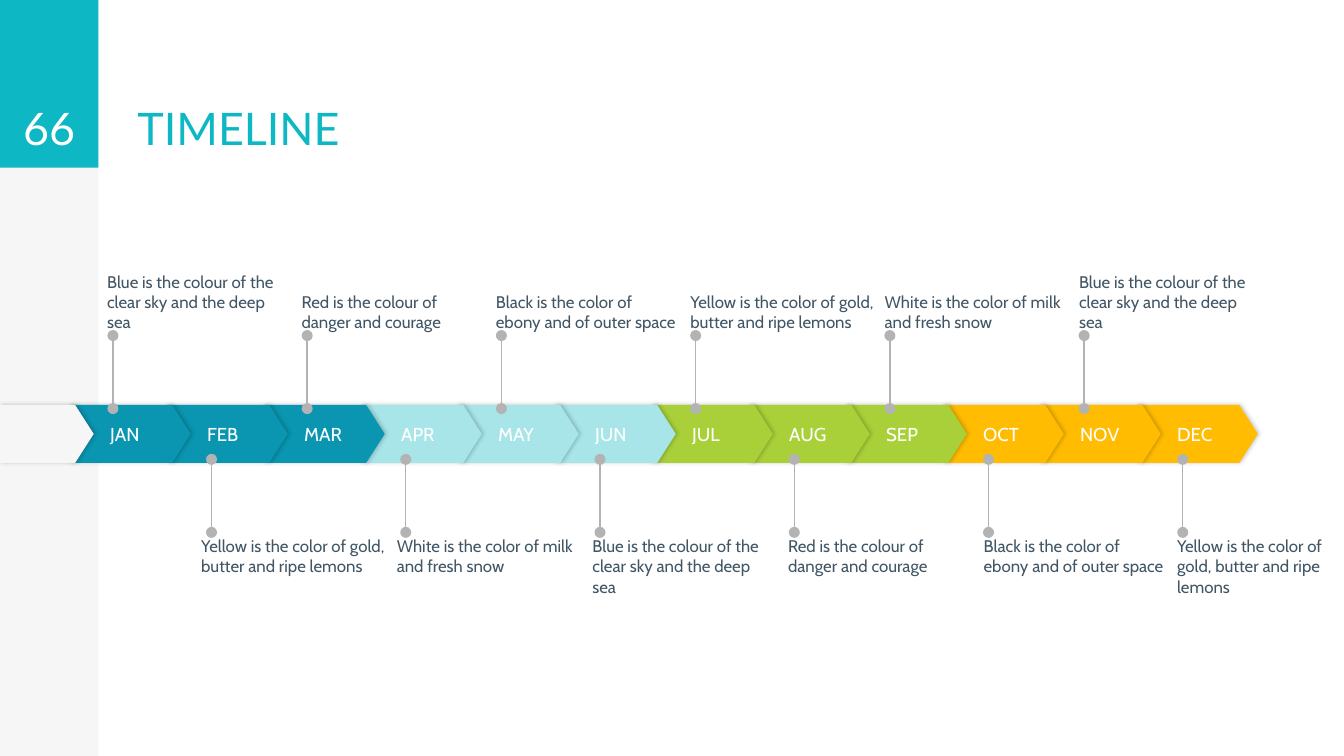
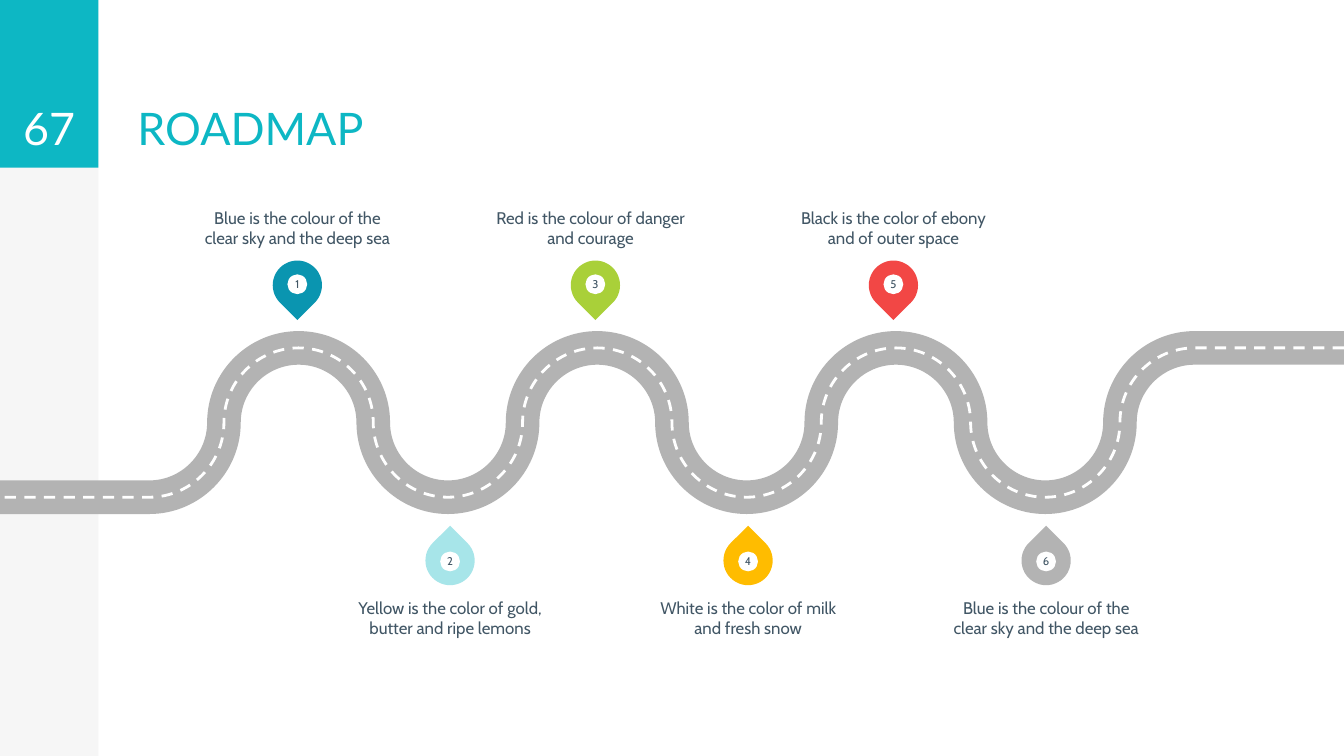
import pptx
import pptx.dml.color
import pptx.enum.dml
import pptx.enum.shapes
import pptx.enum.text
import pptx.oxml
import pptx.oxml.ns
import pptx.util
from dataclasses import dataclass

Pt = pptx.util.Pt
SHAPE = pptx.enum.shapes.MSO_SHAPE
ALIGN = pptx.enum.text.PP_ALIGN
ANCHOR = pptx.enum.text.MSO_ANCHOR
NS = pptx.oxml.ns.nsdecls("a")


@dataclass(frozen=True)
class Theme:
    accent: str = "0DB7C4"
    panel: str = "F6F6F6"
    white: str = "FFFFFF"
    text: str = "415665"
    gray: str = "B3B3B3"
    blue: str = "0A95B0"
    aqua: str = "A7E5E9"
    green: str = "A9D039"
    yellow: str = "FFBC00"
    red: str = "F24745"
    heading_font: str = "Lato"
    body_font: str = "Cabin"
    heading: float = 24
    label: float = 10
    body: float = 9
    tiny: float = 6


T = Theme()
W, H = 720, 405
SIDE_W, HEAD_H = 52.7, 89.8

BLUE = "Blue is the colour of the clear sky and the deep sea"
YELLOW = "Yellow is the color of gold, butter and ripe lemons"
RED = "Red is the colour of danger and courage"
WHITE = "White is the color of milk and fresh snow"
BLACK = "Black is the color of ebony and of outer space"

QUARTERS = [T.blue, T.aqua, T.green, T.yellow]
MONTHS = [
    ("JAN", BLUE), ("FEB", YELLOW), ("MAR", RED), ("APR", WHITE),
    ("MAY", BLACK), ("JUN", BLUE), ("JUL", YELLOW), ("AUG", RED),
    ("SEP", WHITE), ("OCT", BLACK), ("NOV", BLUE), ("DEC", YELLOW),
]
MILESTONES = [
    (T.blue, BLUE, 0), (T.aqua, YELLOW, 0), (T.green, RED, -2.6),
    (T.yellow, WHITE, 0), (T.red, BLACK, 0), (T.gray, BLUE, 0),
]


def rgb(color):
    return pptx.dml.color.RGBColor.from_string(color)


def write(sp, text, size, color, font=T.body_font, align=ALIGN.LEFT,
          anchor=ANCHOR.MIDDLE, margins=(0, 0, 0, 0)):
    tf = sp.text_frame
    tf.word_wrap = True
    tf.vertical_anchor = anchor
    tf.margin_left, tf.margin_top, tf.margin_right, tf.margin_bottom = map(Pt, margins)
    tf.text = text
    p = tf.paragraphs[0]
    p.alignment = align
    f = p.runs[0].font
    f.name, f.size = font, Pt(size)
    f.color.rgb = rgb(color)


def add_text(s, x, y, w, h, text, size, color, **style):
    write(s.shapes.add_textbox(Pt(x), Pt(y), Pt(w), Pt(h)), text, size, color, **style)


def add_box(parent, kind, x, y, w, h, color):
    sp = parent.shapes.add_shape(kind, Pt(x), Pt(y), Pt(w), Pt(h))
    sp.shadow.inherit = False
    sp.fill.solid()
    sp.fill.fore_color.rgb = rgb(color)
    sp.line.fill.background()
    return sp


def add_slide(prs, number, title):
    s = prs.slides.add_slide(prs.slide_layouts[6])
    add_box(s, SHAPE.RECTANGLE, 0, 0, SIDE_W, H, T.panel)
    add_box(s, SHAPE.RECTANGLE, 0, 0, SIDE_W, HEAD_H, T.accent)
    style = dict(font=T.heading_font, anchor=ANCHOR.BOTTOM, margins=(7.2,) * 4)
    add_text(s, 66.6, 0.2, 280, HEAD_H, title, T.heading, T.accent, **style)
    add_text(s, 0, 0.2, SIDE_W, HEAD_H, str(number), T.heading, T.white,
             align=ALIGN.CENTER, **style)
    return s


def add_arrow_band(s, x, w, color):
    sp = add_box(s, SHAPE.PENTAGON, x, 217, w, 31, color)
    sp.adjustments[0] = 0.32
    effects = sp._element.spPr.find(pptx.oxml.ns.qn("a:effectLst"))
    effects.append(pptx.oxml.parse_xml(
        f'<a:outerShdw {NS} blurRad="{Pt(2.2)}" dist="{Pt(0.8)}" '
        'dir="0" algn="ctr" rotWithShape="0"><a:srgbClr val="000000">'
        '<a:alpha val="20000"/></a:srgbClr></a:outerShdw>'))
    return sp


def add_pin_line(s, x, y1, y2):
    c = s.shapes.add_connector(pptx.enum.shapes.MSO_CONNECTOR.STRAIGHT,
                               Pt(x), Pt(y1), Pt(x), Pt(y2))
    c.line.color.rgb = rgb(T.gray)
    c.line.width = Pt(0.75)
    ln = c.line._get_or_add_ln()
    for end in ("headEnd", "tailEnd"):
        ln.append(pptx.oxml.parse_xml(f'<a:{end} {NS} type="oval"/>'))
    c._element.spPr.append(pptx.oxml.parse_xml(f'<a:effectLst {NS}/>'))


def timeline(prs):
    s = add_slide(prs, 66, "TIMELINE")
    step = 52.03
    for i, (month, _) in reversed(list(enumerate(MONTHS))):
        sp = add_arrow_band(s, 37.4 + 51.97 * i, 64.8, QUARTERS[i // 3])
        write(sp, month, T.label, T.white, margins=(21.6, 0, 0, 0))
    add_arrow_band(s, 0, 50.2, T.panel)

    for i, (_, caption) in enumerate(MONTHS):
        if i % 2 == 0:
            add_pin_line(s, 60.5 + step * i, 218.9, 179.8)
            x, y, anchor = 57.4 + 52.07 * i, 136.1, ANCHOR.BOTTOM
        else:
            add_pin_line(s, 61.3 + step * i, 285.2, 246.1)
            x, y, anchor = min(55.4 + 52.4 * i, 630.6), 287.1, ANCHOR.TOP
        add_text(s, x, y, min(98.7, 712 - x), 41.8, caption, T.body, T.text, anchor=anchor)


def road_points(mid=226.4, radius=40):
    heights = [mid - radius, mid, mid + radius, mid]
    bends = [(640 - radius * i, heights[i % 4]) for i in range(15)]
    return [(W, heights[0]), *bends, (0, heights[2])]


def round_bends(sp, pull=0.55):
    lines = list(sp._element.iter(pptx.oxml.ns.qn("a:lnTo")))
    ends = [(int(ln[0].get("x")), int(ln[0].get("y"))) for ln in lines]
    for i, ln in enumerate(lines[1:-1]):
        (x1, y1), (x2, y2) = ends[i], ends[i + 1]
        dx, dy = (x2 - x1) * pull, (y2 - y1) * pull
        if i % 2 == 0:
            curve = [(x1 + dx, y1), (x2, y2 - dy), (x2, y2)]
        else:
            curve = [(x1, y1 + dy), (x2 - dx, y2), (x2, y2)]
        pts = "".join(f'<a:pt x="{round(x)}" y="{round(y)}"/>' for x, y in curve)
        ln.getparent().replace(ln, pptx.oxml.parse_xml(
            f'<a:cubicBezTo {NS}>{pts}</a:cubicBezTo>'))


def add_road(s):
    start, *rest = [(Pt(x), Pt(y)) for x, y in road_points()]
    fb = s.shapes.build_freeform(*start, scale=1.0)
    fb.add_line_segments(rest, close=False)
    for color, width, dash in ((T.gray, 18, None),
                               (T.white, 1.5, pptx.enum.dml.MSO_LINE.DASH)):
        sp = fb.convert_to_shape()
        round_bends(sp)
        sp.shadow.inherit = False
        sp.fill.background()
        sp.line.color.rgb = rgb(color)
        sp.line.width = Pt(width)
        sp.line.dash_style = dash


def add_marker(s, x, y, side, number, color):
    drop, dot = 26.4, 10.6
    g = s.shapes.add_group_shape()
    sp = add_box(g, SHAPE.TEAR, x - drop / 2, y - drop / 2, drop, drop, color)
    sp.rotation = 135 if side < 0 else 315
    sp = add_box(g, SHAPE.OVAL, x - dot / 2, y + 0.5 * side - dot / 2, dot, dot, T.white)
    write(sp, str(number), T.tiny, T.text, align=ALIGN.CENTER)


def roadmap(prs):
    s = add_slide(prs, 67, "ROADMAP")
    add_road(s)
    for i, (color, caption, shift) in enumerate(MILESTONES):
        if i % 2 == 0:
            side, y, text_y, anchor = -1, 152.8, 91.1, ANCHOR.BOTTOM
        else:
            side, y, text_y, anchor = 1, 300.3, 320, ANCHOR.TOP
        x = 160.3 + 79.83 * i + side
        add_marker(s, x, y, side, i + 1, color)
        add_text(s, x + shift - 50.8, text_y, 101.6, 41.8, caption, T.body, T.text,
                 align=ALIGN.CENTER, anchor=anchor)


def main():
    prs = pptx.Presentation()
    prs.slide_width, prs.slide_height = Pt(W), Pt(H)
    timeline(prs)
    roadmap(prs)
    prs.save("out.pptx")


if __name__ == "__main__":
    main()
